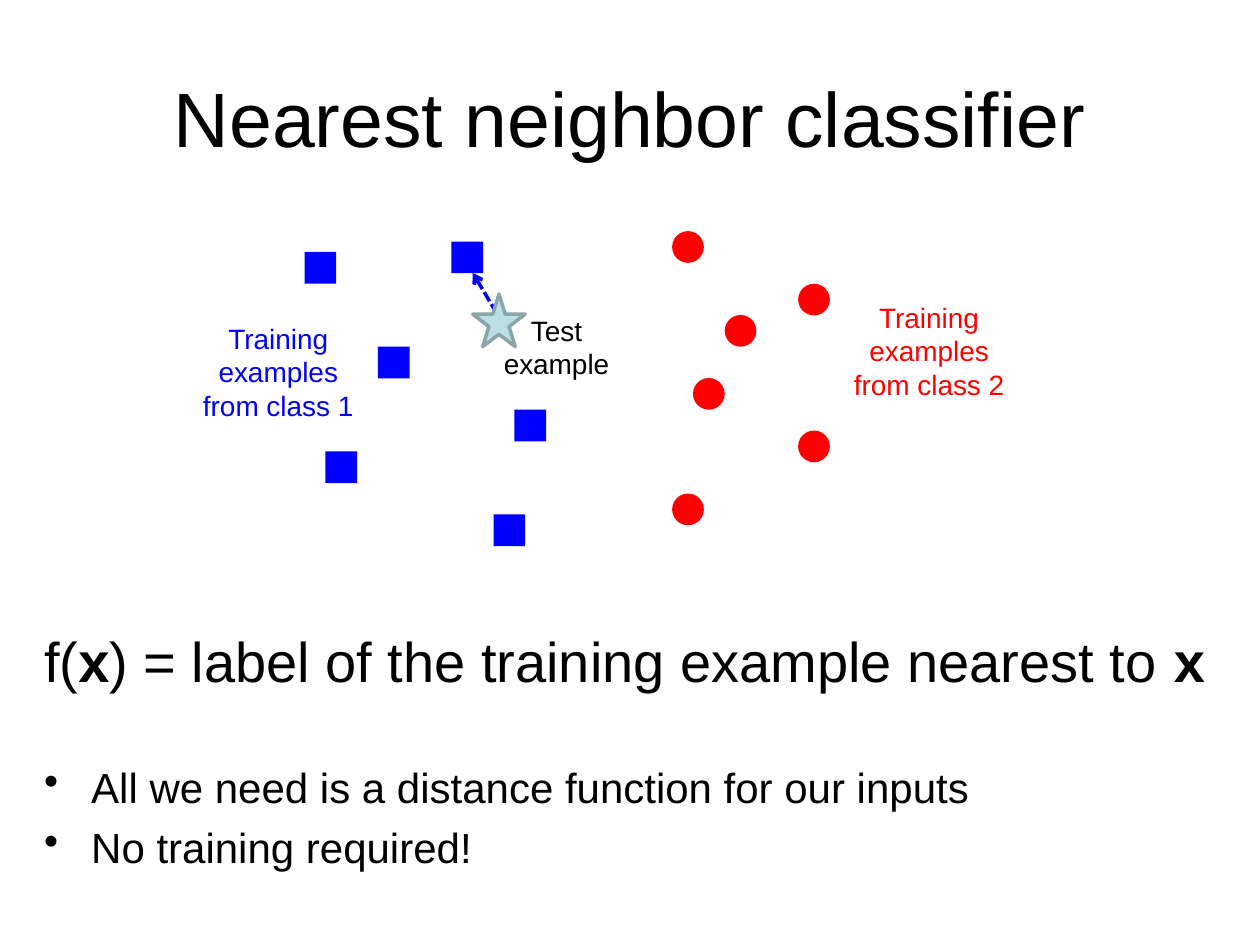
from dataclasses import dataclass

from pptx import Presentation
from pptx.dml.color import RGBColor
from pptx.enum.dml import MSO_LINE
from pptx.enum.shapes import MSO_CONNECTOR, MSO_SHAPE
from pptx.enum.text import MSO_ANCHOR, MSO_AUTO_SIZE, PP_ALIGN
from pptx.oxml.ns import qn
from pptx.oxml.xmlchemy import OxmlElement
from pptx.util import Cm, Pt

SQUARE, CIRCLE, STAR = MSO_SHAPE.RECTANGLE, MSO_SHAPE.OVAL, MSO_SHAPE.STAR_5_POINT
STRAIGHT, DASHED = MSO_CONNECTOR.STRAIGHT, MSO_LINE.SQUARE_DOT
CENTER, LEFT = PP_ALIGN.CENTER, PP_ALIGN.LEFT
TOP, MIDDLE = MSO_ANCHOR.TOP, MSO_ANCHOR.MIDDLE
GROW, FIXED = MSO_AUTO_SIZE.SHAPE_TO_FIT_TEXT, MSO_AUTO_SIZE.NONE

COLORS = {
    "text": "000000",
    "class 1": "0000FF",
    "class 2": "FF0000",
    "test": "BBE0E3",
    "test edge": "8AA6A8",
}
FONT = "Arial"
MARKER_SIZE = 0.64
STAR_SIZE = 1.06
HANGING = Cm(0.95)


@dataclass
class TrainingClass:
    color: str
    marker: MSO_SHAPE
    positions: list[tuple[float, float]]


@dataclass
class Paragraph:
    runs: list[tuple[str, bool]]
    size: int
    color: str = "text"
    align: PP_ALIGN = CENTER
    space_before: float = 0
    hanging: bool = False
    bullet: bool = False


@dataclass
class TextBlock:
    box: tuple[float, float, float, float]
    paragraphs: list[Paragraph]
    anchor: MSO_ANCHOR = TOP
    auto_size: MSO_AUTO_SIZE = FIXED


CLASSES = [
    TrainingClass("class 1", SQUARE, [
        (6.14, 5.08), (7.62, 6.99), (9.1, 4.87),
        (6.56, 9.1), (10.37, 8.26), (9.95, 10.37),
    ]),
    TrainingClass("class 2", CIRCLE, [
        (16.09, 5.72), (13.97, 7.62), (16.09, 8.68),
        (13.55, 4.66), (14.61, 6.35), (13.55, 9.95),
    ]),
]

HEADING = TextBlock(
    (1.27, 0.76, 22.86, 3.18),
    [Paragraph([("Nearest neighbor classifier", False)], 44)],
    anchor=MIDDLE,
)
RULE = TextBlock((0.64, 12.5, 24.13, 3.68), [
    Paragraph(
        [("f(", False), ("x", True),
         (") = label of the training example nearest to ", False), ("x", True)],
        32, align=LEFT, space_before=4, hanging=True,
    ),
    *(
        Paragraph([(point, False)], 24, align=LEFT, space_before=gap,
                  hanging=True, bullet=True)
        for point, gap in [
            ("All we need is a distance function for our inputs", 39),
            ("No training required!", 5.5),
        ]
    ),
])
LABELS = [
    TextBlock(box, [Paragraph([(caption, False)], 16, color)], auto_size=GROW)
    for box, caption, color in [
        ((9.74, 6.19, 2.96, 1.62), "Test example", "text"),
        ((3.81, 6.35, 3.6, 2.31), "Training examples from class 1", "class 1"),
        ((16.93, 5.93, 3.6, 2.31), "Training examples from class 2", "class 2"),
    ]
]


def rgb(name: str) -> RGBColor:
    return RGBColor.from_string(COLORS[name])


def apply_format(target, values: dict) -> None:
    for attribute, value in values.items():
        setattr(target, attribute, value)


def draw_text(slide, block: TextBlock) -> None:
    frame = slide.shapes.add_textbox(*map(Cm, block.box)).text_frame
    apply_format(frame, {
        "word_wrap": True,
        "vertical_anchor": block.anchor,
        "auto_size": block.auto_size,
    })
    for index, content in enumerate(block.paragraphs):
        paragraph = frame.add_paragraph() if index else frame.paragraphs[0]
        apply_format(paragraph, {
            "alignment": content.align,
            "space_before": Pt(content.space_before),
        })
        properties = paragraph._p.get_or_add_pPr()
        if content.hanging:
            properties.set("marL", str(HANGING))
            properties.set("indent", str(-HANGING))
        if content.bullet:
            bullet = OxmlElement("a:buChar")
            bullet.set("char", "•")
            properties.append(bullet)
        for words, bold in content.runs:
            run = paragraph.add_run()
            run.text = words
            apply_format(run.font, {
                "name": FONT, "size": Pt(content.size), "bold": bold,
            })
            run.font.color.rgb = rgb(content.color)


def draw_marker(slide, kind: MSO_SHAPE, position: tuple[float, float],
                size: float, fill: str, edge: str | None = None) -> None:
    marker = slide.shapes.add_shape(kind, *map(Cm, (*position, size, size)))
    marker.shadow.inherit = False
    marker.fill.solid()
    marker.fill.fore_color.rgb = rgb(fill)
    if edge:
        marker.line.color.rgb = rgb(edge)
        marker.line.width = Pt(2)
    else:
        marker.line.fill.background()


def draw_nearest_arrow(slide, start: tuple[float, float],
                       end: tuple[float, float]) -> None:
    arrow = slide.shapes.add_connector(STRAIGHT, *map(Cm, (*start, *end)))
    arrow.line.color.rgb = rgb("class 1")
    apply_format(arrow.line, {"width": Pt(2), "dash_style": DASHED})
    properties = arrow.element.spPr
    head = OxmlElement("a:tailEnd")
    head.set("type", "arrow")
    properties.find(qn("a:ln")).append(head)
    properties.append(OxmlElement("a:effectLst"))


def main() -> None:
    presentation = Presentation()
    apply_format(presentation, {"slide_width": Cm(25.4), "slide_height": Cm(19.05)})
    slide = presentation.slides.add_slide(presentation.slide_layouts[6])
    draw_text(slide, HEADING)
    draw_text(slide, RULE)
    for group in CLASSES:
        for position in group.positions:
            draw_marker(slide, group.marker, position, MARKER_SIZE, group.color)
    for label in LABELS:
        draw_text(slide, label)
    draw_nearest_arrow(slide, (10.16, 6.56), (9.53, 5.5))
    draw_marker(slide, STAR, (9.53, 5.93), STAR_SIZE, "test", "test edge")
    presentation.save("out.pptx")


if __name__ == "__main__":
    main()
